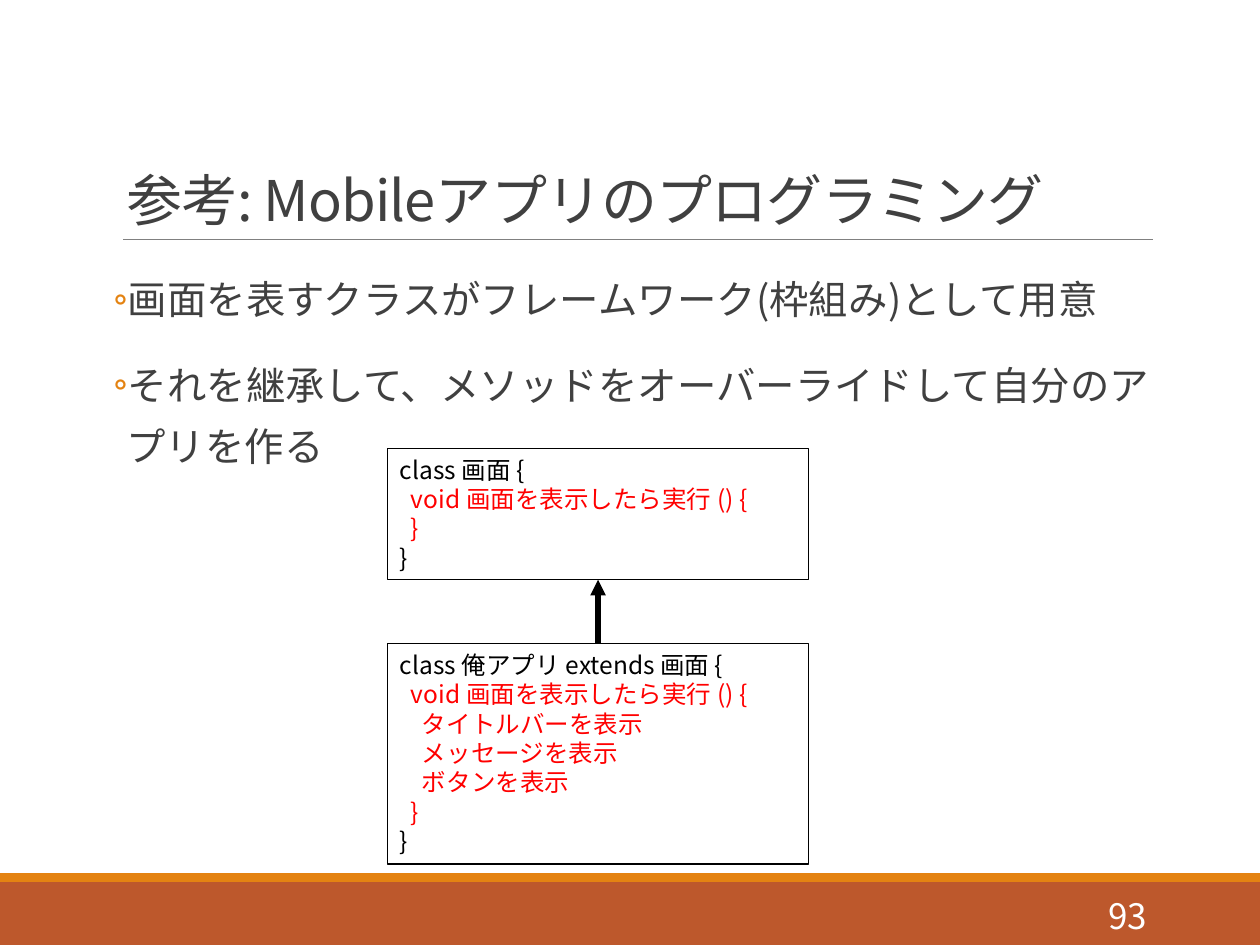
from lxml import etree
from pptx import Presentation
from pptx.dml.color import RGBColor
from pptx.enum import shapes, text
from pptx.oxml.ns import qn
from pptx.util import Pt

FONT = "Noto Sans CJK JP"
BULLET_FONT = "+mj-lt"
RUST = RGBColor(0xBD, 0x58, 0x2C)
ORANGE = RGBColor(0xE4, 0x83, 0x12)
GRAY = RGBColor(0x80, 0x80, 0x80)
INK = RGBColor(0x40, 0x40, 0x40)
BLACK = RGBColor(0, 0, 0)
RED = RGBColor(0xFF, 0, 0)
WHITE = RGBColor(0xFF, 0xFF, 0xFF)

TITLE = "参考: Mobileアプリのプログラミング"
POINTS = [
    "画面を表すクラスがフレームワーク(枠組み)として用意",
    "それを継承して、メソッドをオーバーライドして自分のアプリを作る",
]
METHOD = "  void 画面を表示したら実行 () {"
BASE_CLASS = ["class 画面 {", METHOD, "  }", "}"]
APP_CLASS = [
    "class 俺アプリ extends 画面 {",
    METHOD,
    "    タイトルバーを表示",
    "    メッセージを表示",
    "    ボタンを表示",
    "  }",
    "}",
]


def style(paragraph, size, color, tracking=0):
    font = paragraph.font
    font.size = Pt(size)
    font.color.rgb = color
    font.name = FONT
    defaults = paragraph._p.pPr.find(qn("a:defRPr"))
    etree.SubElement(defaults, qn("a:ea"), typeface=FONT)
    if tracking:
        defaults.set("spc", str(tracking))


def add_paragraph(frame, index, words):
    paragraph = frame.paragraphs[0] if index == 0 else frame.add_paragraph()
    paragraph.text = words
    return paragraph


def add_band(slide, top, height, color):
    band = slide.shapes.add_shape(
        shapes.MSO_SHAPE.RECTANGLE, Pt(0), Pt(top), Pt(720), Pt(height))
    band.shadow.inherit = False
    band.fill.solid()
    band.fill.fore_color.rgb = color
    band.line.fill.background()


def add_text_area(slide, left, top, width, height, anchor):
    frame = slide.shapes.add_textbox(
        Pt(left), Pt(top), Pt(width), Pt(height)).text_frame
    frame.word_wrap = True
    frame.vertical_anchor = anchor
    return frame


def add_line(slide, start, end, color, width):
    line = slide.shapes.add_connector(
        shapes.MSO_CONNECTOR.STRAIGHT, *map(Pt, start + end))
    line.line.color.rgb = color
    line.line.width = Pt(width)
    etree.SubElement(line._element.spPr, qn("a:effectLst"))
    return line


def add_title(slide):
    frame = add_text_area(slide, 65, 22.5, 594, 114, text.MSO_ANCHOR.BOTTOM)
    title = add_paragraph(frame, 0, TITLE)
    title.line_spacing = 0.85
    style(title, 32, INK, tracking=-50)


def add_points(slide):
    frame = add_text_area(slide, 65, 145.5, 594, 132, text.MSO_ANCHOR.TOP)
    frame.margin_left = frame.margin_right = Pt(0)
    for index, words in enumerate(POINTS):
        point = add_paragraph(frame, index, words)
        point.line_spacing = 1.3
        point.space_before = Pt(12 if index else 0)
        point.space_after = Pt(2)
        props = point._p.get_or_add_pPr()
        props.set("marL", str(Pt(7.2)))
        props.set("indent", str(Pt(-7.2)))
        bullet_color = etree.SubElement(props, qn("a:buClr"))
        etree.SubElement(bullet_color, qn("a:srgbClr"), val=str(ORANGE))
        etree.SubElement(props, qn("a:buFont"), typeface=BULLET_FONT)
        etree.SubElement(props, qn("a:buChar"), char="◦")
        style(point, 22.5, INK)


def add_page_number(slide):
    frame = add_text_area(slide, 584.5, 508.5, 78, 28.75, text.MSO_ANCHOR.MIDDLE)
    number = add_paragraph(frame, 0, "93")
    number.alignment = text.PP_ALIGN.RIGHT
    style(number, 20, WHITE)


def add_code_box(slide, top, height, lines):
    box = slide.shapes.add_shape(
        shapes.MSO_SHAPE.RECTANGLE, Pt(221.5), Pt(top), Pt(240.5), Pt(height))
    box.shadow.inherit = False
    box.fill.background()
    box.line.color.rgb = BLACK
    box.line.width = Pt(0.75)
    frame = box.text_frame
    frame.word_wrap = False
    frame.auto_size = text.MSO_AUTO_SIZE.SHAPE_TO_FIT_TEXT
    frame.vertical_anchor = text.MSO_ANCHOR.TOP
    for index, words in enumerate(lines):
        code = add_paragraph(frame, index, words)
        code.alignment = text.PP_ALIGN.LEFT
        style(code, 14, RED if words.startswith(" ") else BLACK)
    return box


def add_inheritance_arrow(slide, app_box, base_box):
    arrow = add_line(slide, (341.75, 368), (341.75, 331), BLACK, 3)
    arrow.begin_connect(app_box, 0)
    arrow.end_connect(base_box, 2)
    etree.SubElement(arrow.line._get_or_add_ln(), qn("a:tailEnd"), type="triangle")


def main():
    deck = Presentation()
    deck.slide_width, deck.slide_height = Pt(720), Pt(540)
    slide = deck.slides.add_slide(deck.slide_layouts[6])
    add_band(slide, 504, 36, RUST)
    add_band(slide, 499, 5, ORANGE)
    add_line(slide, (70.5, 136.75), (659, 136.75), GRAY, 0.5)
    add_title(slide)
    add_points(slide)
    add_page_number(slide)
    base_box = add_code_box(slide, 256.25, 75, BASE_CLASS)
    app_box = add_code_box(slide, 367.75, 126, APP_CLASS)
    add_inheritance_arrow(slide, app_box, base_box)
    deck.save("out.pptx")


if __name__ == "__main__":
    main()
